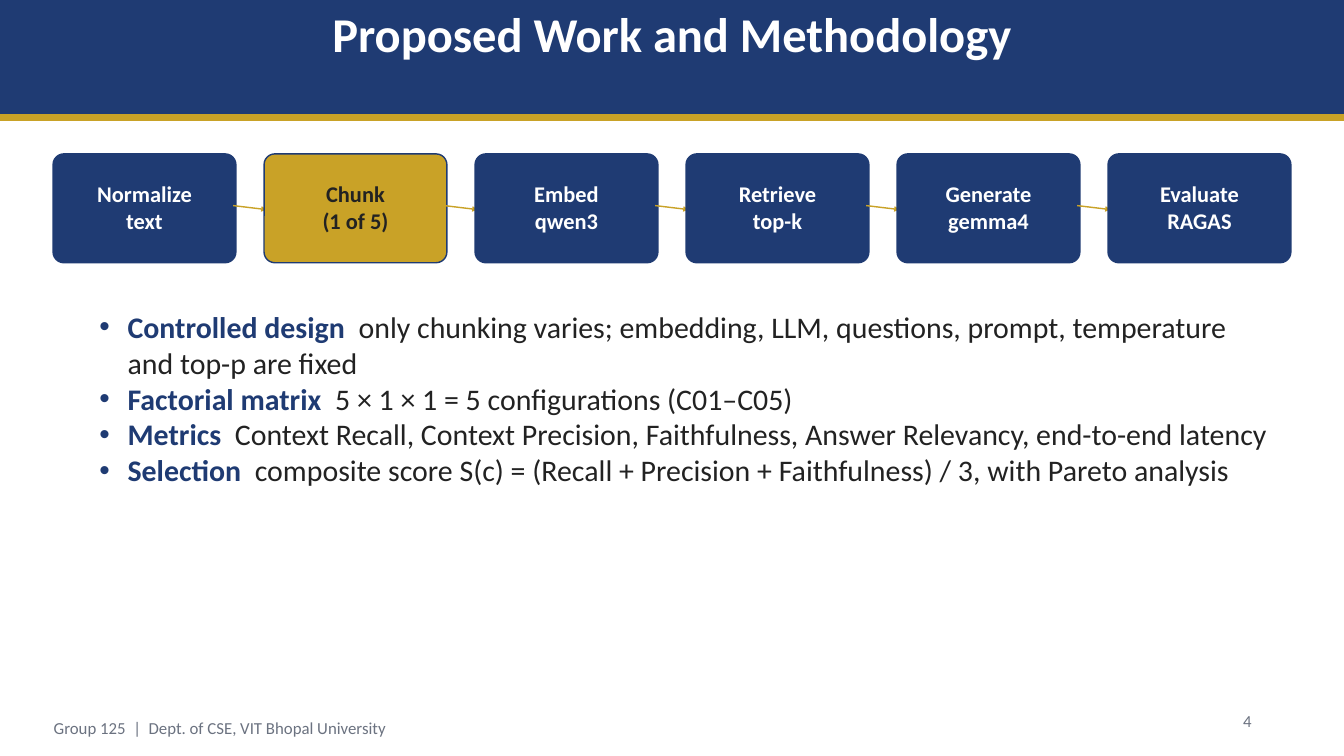
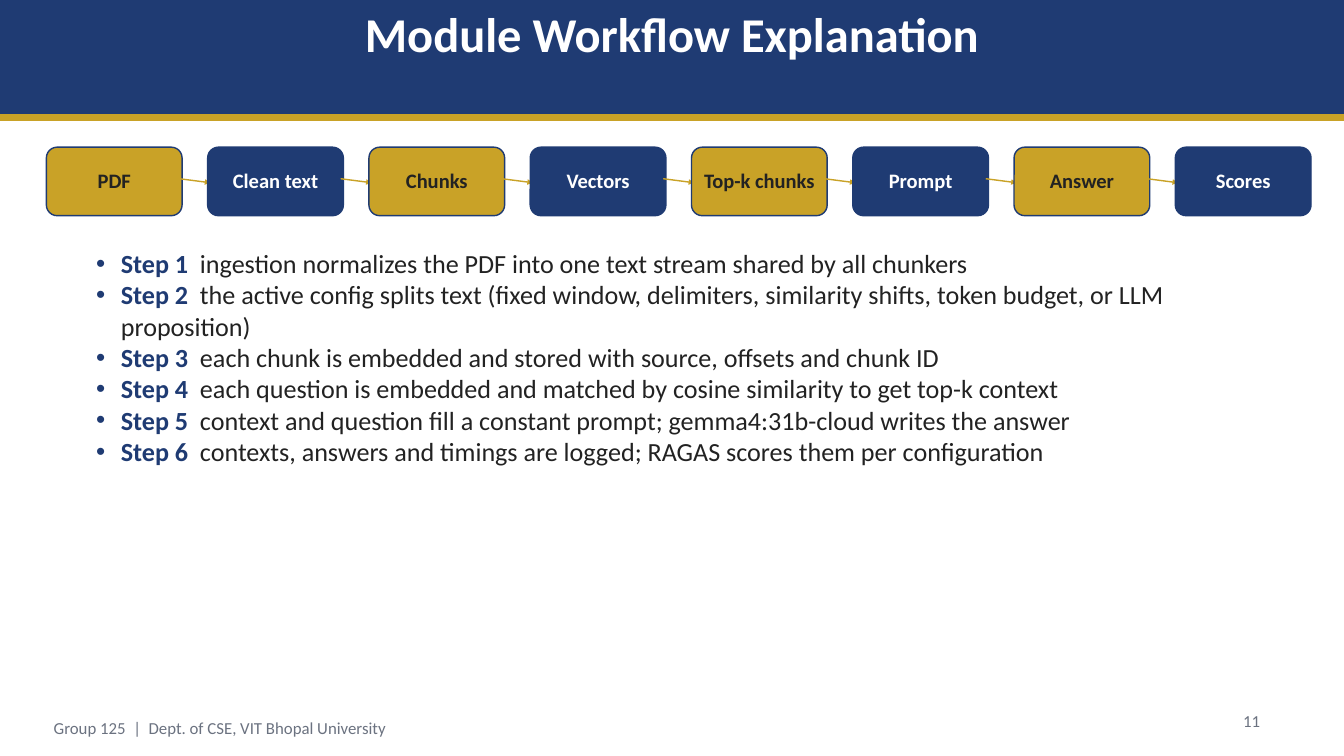
from lxml import etree
from pptx import Presentation
from pptx.dml.color import RGBColor
from pptx.enum import shapes, text
from pptx.oxml import ns
from pptx.util import Pt

NAVY, GOLD, WHITE, INK, GREY = "1F3B73", "C9A227", "FFFFFF", "222222", "6B7280"
FONT = "Calibri"
WIDTH, HEIGHT = 1440, 810
CORNER = 11.5
FOOTER = "Group 125  |  Dept. of CSE, VIT Bhopal University"


def rgb(value):
    return RGBColor.from_string(value)


def sub(parent, tag, **attrs):
    return etree.SubElement(parent, ns.qn(tag), attrs)


def place(sp, box):
    sp.left, sp.top, sp.width, sp.height = [Pt(v) for v in box]


def frame(sp, anchor, insets=(0, 0, 0, 0)):
    """Prepare a wrapping text frame; insets are left, top, right, bottom."""
    tf = sp.text_frame
    tf.word_wrap = True
    tf.auto_size = text.MSO_AUTO_SIZE.NONE
    tf.vertical_anchor = anchor
    tf.margin_left, tf.margin_top, tf.margin_right, tf.margin_bottom = [Pt(v) for v in insets]
    return tf


def next_paragraph(tf, i):
    return tf.paragraphs[0] if i == 0 else tf.add_paragraph()


def space(p, size, align=text.PP_ALIGN.LEFT):
    p.alignment = align
    p.line_spacing = Pt(round(size * 1.2, 1))
    p.space_before = Pt(0)


def add_run(p, words, size, color, bold=False):
    r = p.add_run()
    r.text = words
    r.font.name, r.font.size, r.font.bold = FONT, Pt(size), bold
    r.font.color.rgb = rgb(color)


def add_block(s, kind, box, fill, line=None):
    sp = s.shapes.add_shape(kind, *[Pt(v) for v in box])
    sp.shadow.inherit = False
    sp.fill.solid()
    sp.fill.fore_color.rgb = rgb(fill)
    if line:
        sp.line.color.rgb = rgb(line)
        sp.line.width = Pt(1.5)
    else:
        sp.line.fill.background()
    return sp


def add_header(s, title, box):
    left, top, width, height = box
    rule = 7.2
    band = shapes.MSO_SHAPE.RECTANGLE
    add_block(s, band, (left, top, width, height - rule), NAVY)
    add_block(s, band, (left, top + height - rule, width, rule), GOLD)
    sp = s.shapes.title
    sp.element.getparent().append(sp.element)  # bring in front of the band
    place(sp, (left + 57.6, top + 4.3, width - 115.2, 103.7))
    p = frame(sp, text.MSO_ANCHOR.TOP).paragraphs[0]
    space(p, 52, text.PP_ALIGN.CENTER)
    add_run(p, title, 52, WHITE, True)


def add_footer(s, number, box):
    left, top, width, height = box
    parts = [(FOOTER, (left, top, 864, height), text.MSO_ANCHOR.MIDDLE),
             (str(number), (left + width - 50.4, top, 57.6, 31.7), text.MSO_ANCHOR.TOP)]
    for words, area, anchor in parts:
        sp = s.shapes.add_textbox(*[Pt(v) for v in area])
        p = frame(sp, anchor).paragraphs[0]
        space(p, 18)
        add_run(p, words, 18, GREY)


def add_arrow(s, x1, y1, x2, y2):
    c = s.shapes.add_connector(shapes.MSO_CONNECTOR.STRAIGHT, Pt(x1), Pt(y1), Pt(x2), Pt(y2))
    c.line.color.rgb = rgb(GOLD)
    c.line.width = Pt(1.5)
    sub(c.line._get_or_add_ln(), "a:tailEnd", type="triangle")
    sub(c.element.spPr, "a:effectLst")


def add_flow(s, steps, gold_steps, box, gap, size):
    """Chain of equal boxes across the given box, joined by arrows."""
    left, top, width, height = box
    step_width = (width - gap * (len(steps) - 1)) / len(steps)
    middle = top + height / 2
    for i, lines in enumerate(steps):
        x = left + i * (step_width + gap)
        gold = i in gold_steps
        sp = add_block(s, shapes.MSO_SHAPE.ROUNDED_RECTANGLE, (x, top, step_width, height),
                       GOLD if gold else NAVY, NAVY)
        sp.adjustments[0] = CORNER / min(step_width, height)
        tf = frame(sp, text.MSO_ANCHOR.MIDDLE, (4.3, 4.3, 4.3, 6.5))
        for j, words in enumerate(lines):
            p = next_paragraph(tf, j)
            space(p, size, text.PP_ALIGN.CENTER)
            add_run(p, words, size, INK if gold else WHITE, True)
        if i < len(steps) - 1:
            end = x + step_width
            add_arrow(s, end - 2.9, middle - 2.9, end + gap + 2.9, middle + 1.4)


def add_points(s, points, box, size, indent):
    sp = s.placeholders[1]
    sp.element.getparent().append(sp.element)
    place(sp, box)
    tf = frame(sp, text.MSO_ANCHOR.TOP)
    for i, (term, words) in enumerate(points):
        p = next_paragraph(tf, i)
        p.level = 1
        pPr = p._p.get_or_add_pPr()
        pPr.set("marL", str(Pt(2 * indent)))
        pPr.set("indent", str(-Pt(indent)))
        sub(pPr, "a:buFont", typeface="Arial")
        sub(pPr, "a:buChar", char="•")
        space(p, size)
        add_run(p, term + " ", size, NAVY, True)
        add_run(p, " " + words, size, INK)


def add_flow_slide(prs, title, number, flow, points):
    s = prs.slides.add_slide(prs.slide_layouts[1])
    add_header(s, title, (0, 0, WIDTH, 129.6))
    add_flow(s, **flow)
    add_points(s, **points)
    add_footer(s, number, (57.6, 761, 1324.8, 38.2))


def main():
    prs = Presentation()
    prs.slide_width, prs.slide_height = Pt(WIDTH), Pt(HEIGHT)
    add_flow_slide(
        prs, "Proposed Work and Methodology", 4,
        dict(steps=[("Normalize", "text"), ("Chunk", "(1 of 5)"), ("Embed", "qwen3"),
                    ("Retrieve", "top-k"), ("Generate", "gemma4"), ("Evaluate", "RAGAS")],
             gold_steps={1}, box=(56.9, 164.9, 1326.2, 116.6), gap=30.2, size=24),
        dict(points=[
            ("Controlled design", "only chunking varies; embedding, LLM, questions, prompt, "
                                  "temperature and top-p are fixed"),
            ("Factorial matrix", "5 × 1 × 1 = 5 configurations (C01–C05)"),
            ("Metrics", "Context Recall, Context Precision, Faithfulness, Answer Relevancy, "
                        "end-to-end latency"),
            ("Selection", "composite score S(c) = (Recall + Precision + Faithfulness) / 3, "
                          "with Pareto analysis"),
        ], box=(76.3, 330.5, 1288, 399.6), size=32, indent=30.2))

    stages = ["PDF", "Clean text", "Chunks", "Vectors", "Top-k chunks", "Prompt", "Answer", "Scores"]
    explanations = [
        "ingestion normalizes the PDF into one text stream shared by all chunkers",
        "the active config splits text (fixed window, delimiters, similarity shifts, "
        "token budget, or LLM proposition)",
        "each chunk is embedded and stored with source, offsets and chunk ID",
        "each question is embedded and matched by cosine similarity to get top-k context",
        "context and question fill a constant prompt; gemma4:31b-cloud writes the answer",
        "contexts, answers and timings are logged; RAGAS scores them per configuration",
    ]
    add_flow_slide(
        prs, "Module Workflow Explanation", 11,
        dict(steps=[(stage,) for stage in stages], gold_steps=range(0, len(stages), 2),
             box=(49.7, 157.7, 1355, 73.4), gap=27.4, size=22),
        dict(points=[(f"Step {n}", words) for n, words in enumerate(explanations, 1)],
             box=(76.3, 265, 1288, 472.3), size=28, indent=26.6))
    prs.save("out.pptx")


if __name__ == "__main__":
    main()
